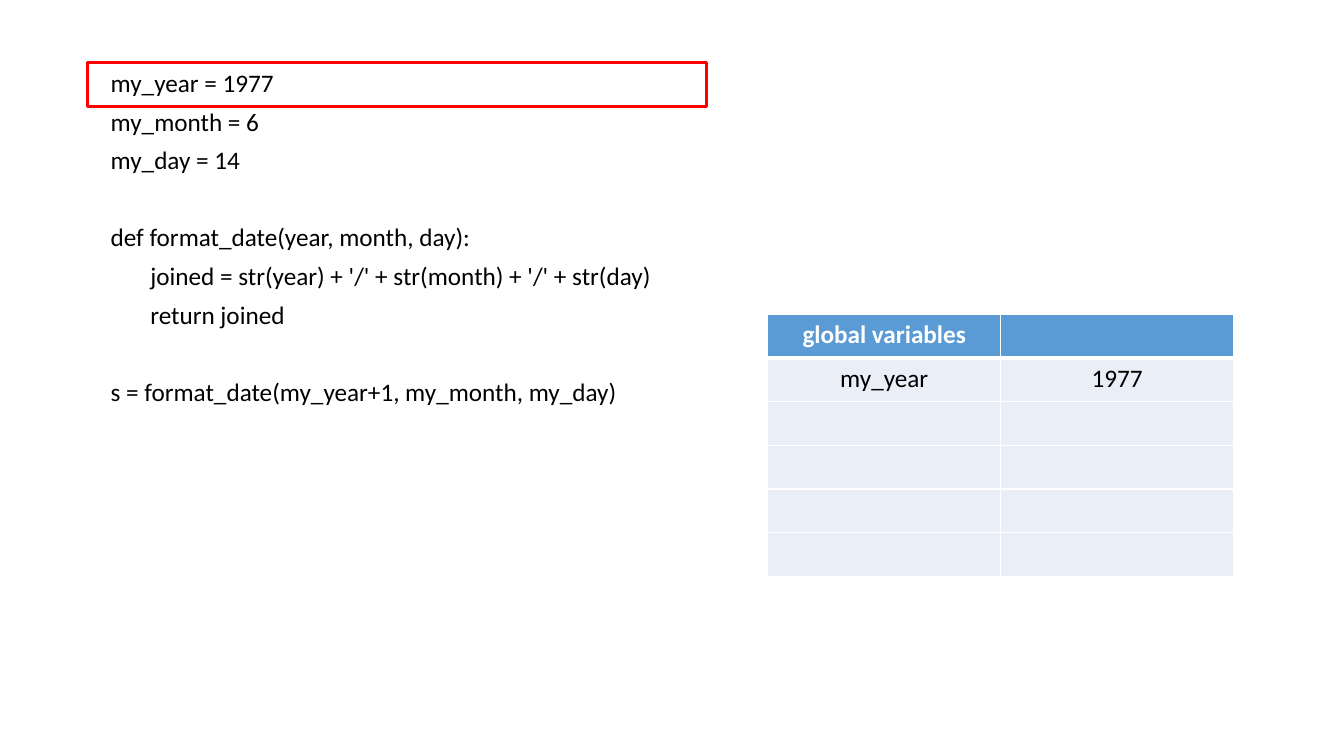
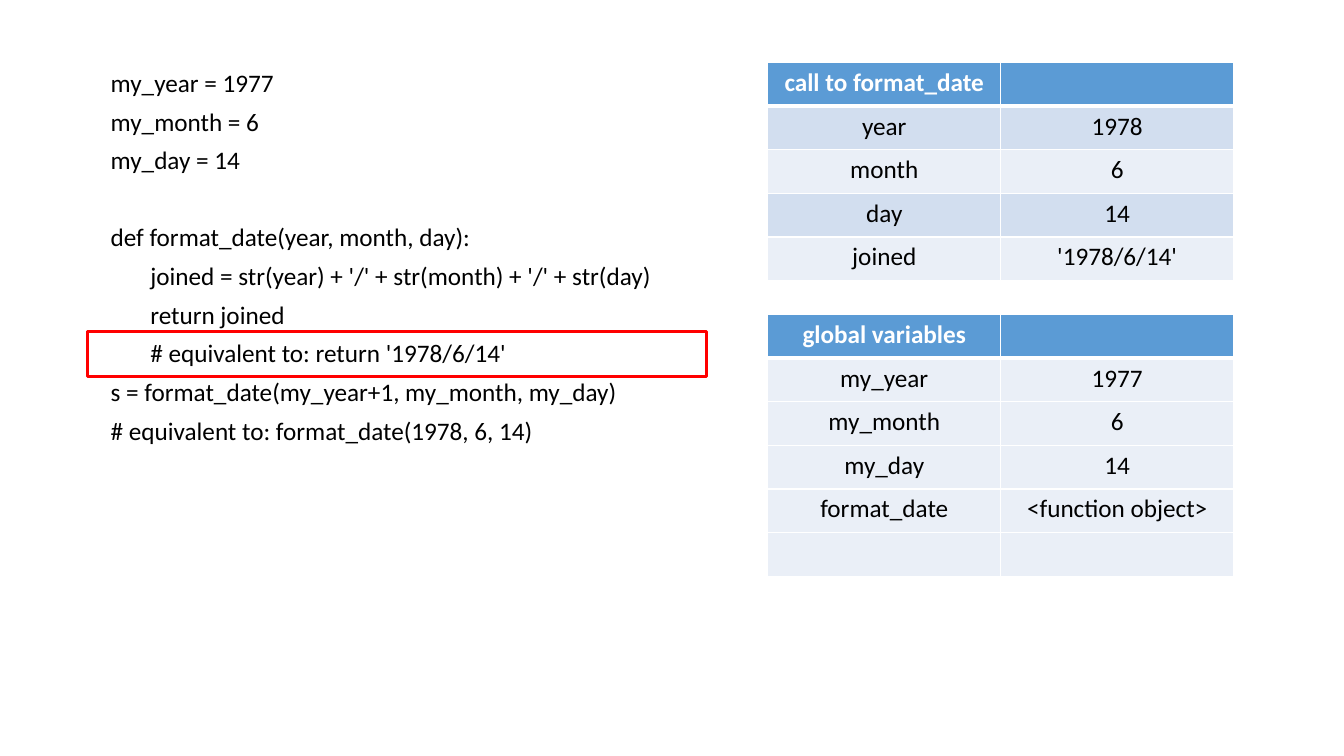
from dataclasses import dataclass

from lxml import etree
from pptx import Presentation
from pptx.dml.color import RGBColor
from pptx.enum.shapes import MSO_SHAPE
from pptx.enum.text import PP_ALIGN
from pptx.oxml.ns import qn
from pptx.slide import Slide
from pptx.table import _Cell
from pptx.text.text import _Paragraph
from pptx.util import Cm, Pt

RECTANGLE = MSO_SHAPE.RECTANGLE
CENTER = PP_ALIGN.CENTER
BLANK_LAYOUT = 6


@dataclass(frozen=True)
class Theme:
    """Colours and type sizes shared by the slides."""
    font: str = "Calibri"
    size: int = 18
    text: str = "000000"
    white: str = "FFFFFF"
    header: str = "5B9BD5"
    band_dark: str = "D2DEEF"
    band_light: str = "EAEFF7"
    highlight: str = "FF0000"


@dataclass(frozen=True)
class CodeLine:
    """One line of code: its row in the listing and its indent level."""
    row: int
    text: str
    level: int = 0


@dataclass(frozen=True)
class VariableTable:
    """A table of variable names and values."""
    title: str
    top: float
    rows: list[tuple[str, str]]
    banded: bool = False


@dataclass(frozen=True)
class Step:
    """One step of the program run: code, current row and variables."""
    code: list[CodeLine]
    current_row: int
    tables: list[VariableTable]


THEME = Theme()
TOP = 1.57
GLOBALS_TOP = 7.92
GLOBALS_ROWS = 5
LINE_PITCH = 0.97
INDENT = 1.0
COLUMN_WIDTH = 5.87
ROW_HEIGHT = 1.1

PROGRAM = [
    CodeLine(0, "my_year = 1977"),
    CodeLine(1, "my_month = 6"),
    CodeLine(2, "my_day = 14"),
    CodeLine(4, "def format_date(year, month, day):"),
    CodeLine(5, "joined = str(year) + '/' + str(month) + '/' + str(day)", 1),
    CodeLine(6, "return joined", 1),
    CodeLine(8, "s = format_date(my_year+1, my_month, my_day)"),
]
EQUIVALENTS = [
    CodeLine(7, "# equivalent to: return '1978/6/14'", 1),
    CodeLine(9, "# equivalent to: format_date(1978, 6, 14)"),
]
GLOBALS = [("my_year", "1977"), ("my_month", "6"), ("my_day", "14"),
           ("format_date", "<function object>")]
CALL = [("year", "1978"), ("month", "6"), ("day", "14"),
        ("joined", "'1978/6/14'")]


def global_variables(count: int) -> VariableTable:
    """Return the globals table with its first count variables filled in."""
    empty = [("", "")] * (GLOBALS_ROWS - count)
    return VariableTable("global variables", GLOBALS_TOP,
                         GLOBALS[:count] + empty)


STEPS = [
    Step(PROGRAM, 0, [global_variables(1)]),
    Step(sorted(PROGRAM + EQUIVALENTS, key=lambda line: line.row), 7,
         [global_variables(4),
          VariableTable("call to format_date", TOP, CALL, banded=True)]),
]


def rgb(color: str) -> RGBColor:
    """Turn a hex string into a colour."""
    return RGBColor.from_string(color)


def format_runs(p: _Paragraph, color: str, bold: bool = False) -> None:
    """Give the runs of a paragraph the theme font."""
    for r in p.runs:
        r.font.name = THEME.font
        r.font.size = Pt(THEME.size)
        r.font.bold = bold
        r.font.color.rgb = rgb(color)


def add_code(s: Slide, code: list[CodeLine]) -> None:
    """Write the listing; a skipped row becomes space before a line."""
    box = s.shapes.add_textbox(Cm(2.54), Cm(TOP), Cm(14.4),
                               Cm(LINE_PITCH * (code[-1].row + 1)))
    tf = box.text_frame
    tf.word_wrap = True
    tf.text = "\n".join(line.text for line in code)
    next_row = 0
    for p, line in zip(tf.paragraphs, code):
        p.space_before = Cm(LINE_PITCH * (line.row - next_row))
        p.space_after = Pt(6)
        p._p.get_or_add_pPr().set("marL", str(Cm(INDENT * line.level)))
        format_runs(p, THEME.text)
        next_row = line.row + 1


def add_highlight(s: Slide, row: int) -> None:
    """Frame the line of code being run."""
    frame = s.shapes.add_shape(RECTANGLE, Cm(2.2), Cm(TOP + LINE_PITCH * row),
                               Cm(15.6), Cm(1.12))
    frame.shadow.inherit = False
    frame.fill.background()
    frame.line.color.rgb = rgb(THEME.highlight)
    frame.line.width = Pt(2)


def set_borders(cell: _Cell, top: int, bottom: int) -> None:
    """Draw white cell borders with the given top and bottom widths."""
    tc_pr = cell._tc.get_or_add_tcPr()
    for side, width in (("L", 1), ("R", 1), ("T", top), ("B", bottom)):
        ln = etree.SubElement(tc_pr, qn(f"a:ln{side}"), w=str(Pt(width)))
        fill = etree.SubElement(ln, qn("a:solidFill"))
        etree.SubElement(fill, qn("a:srgbClr"), val=THEME.white)


def add_variables(s: Slide, spec: VariableTable) -> None:
    """Draw a table of variables under a coloured header row."""
    rows = [(spec.title, "")] + spec.rows
    frame = s.shapes.add_table(len(rows), 2, Cm(19.35), Cm(spec.top),
                               Cm(2 * COLUMN_WIDTH),
                               Cm(ROW_HEIGHT * len(rows)))
    table = frame.table
    table.horz_banding = False
    for i, values in enumerate(rows):
        is_header = i == 0
        if is_header:
            fill = THEME.header
        elif spec.banded and i % 2:
            fill = THEME.band_dark
        else:
            fill = THEME.band_light
        for j, value in enumerate(values):
            cell = table.cell(i, j)
            set_borders(cell, top=3 if i == 1 else 1,
                        bottom=3 if is_header else 1)
            cell.fill.solid()
            cell.fill.fore_color.rgb = rgb(fill)
            if value:
                cell.text_frame.text = value
                p = cell.text_frame.paragraphs[0]
                p.alignment = CENTER
                format_runs(p, THEME.white if is_header else THEME.text,
                            bold=is_header)


def main() -> None:
    """Build one slide per step and save the presentation."""
    prs = Presentation()
    prs.slide_width, prs.slide_height = Cm(33.87), Cm(19.05)
    for step in STEPS:
        s = prs.slides.add_slide(prs.slide_layouts[BLANK_LAYOUT])
        add_code(s, step.code)
        add_highlight(s, step.current_row)
        for spec in step.tables:
            add_variables(s, spec)
    prs.save("out.pptx")


main()
